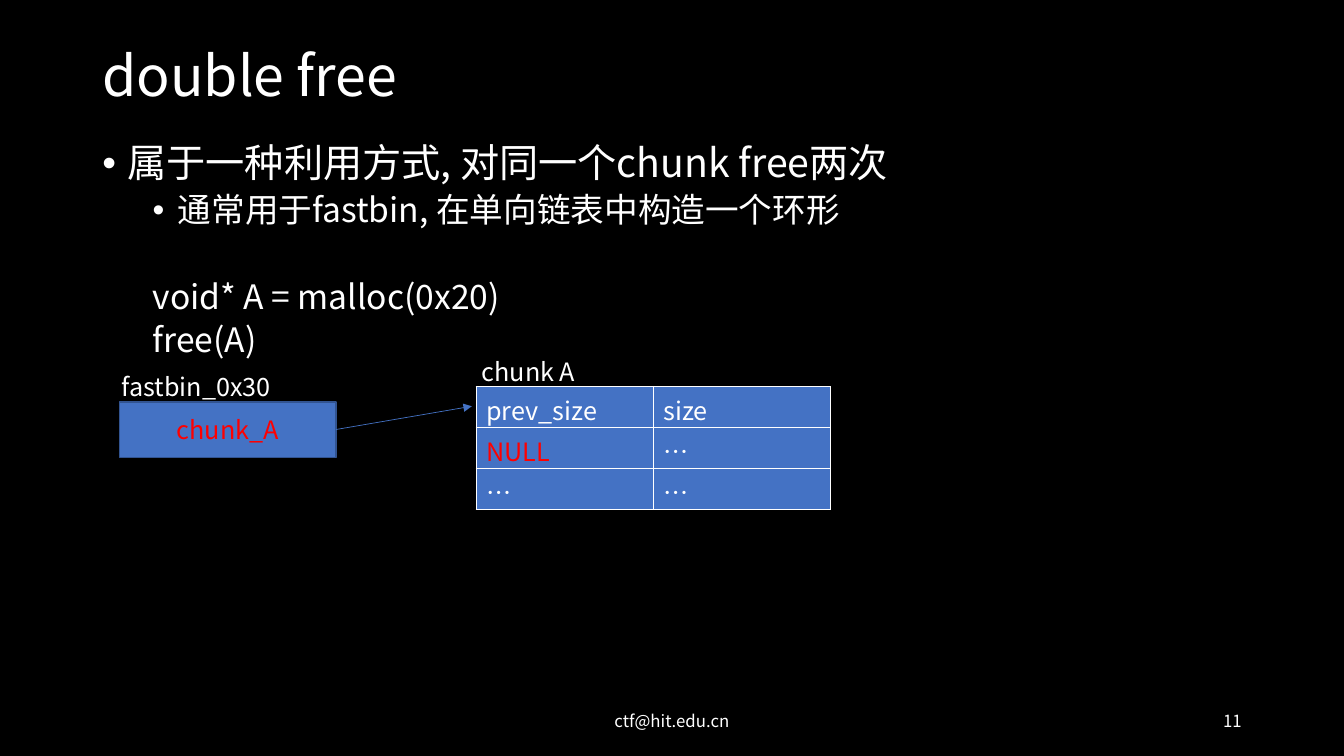
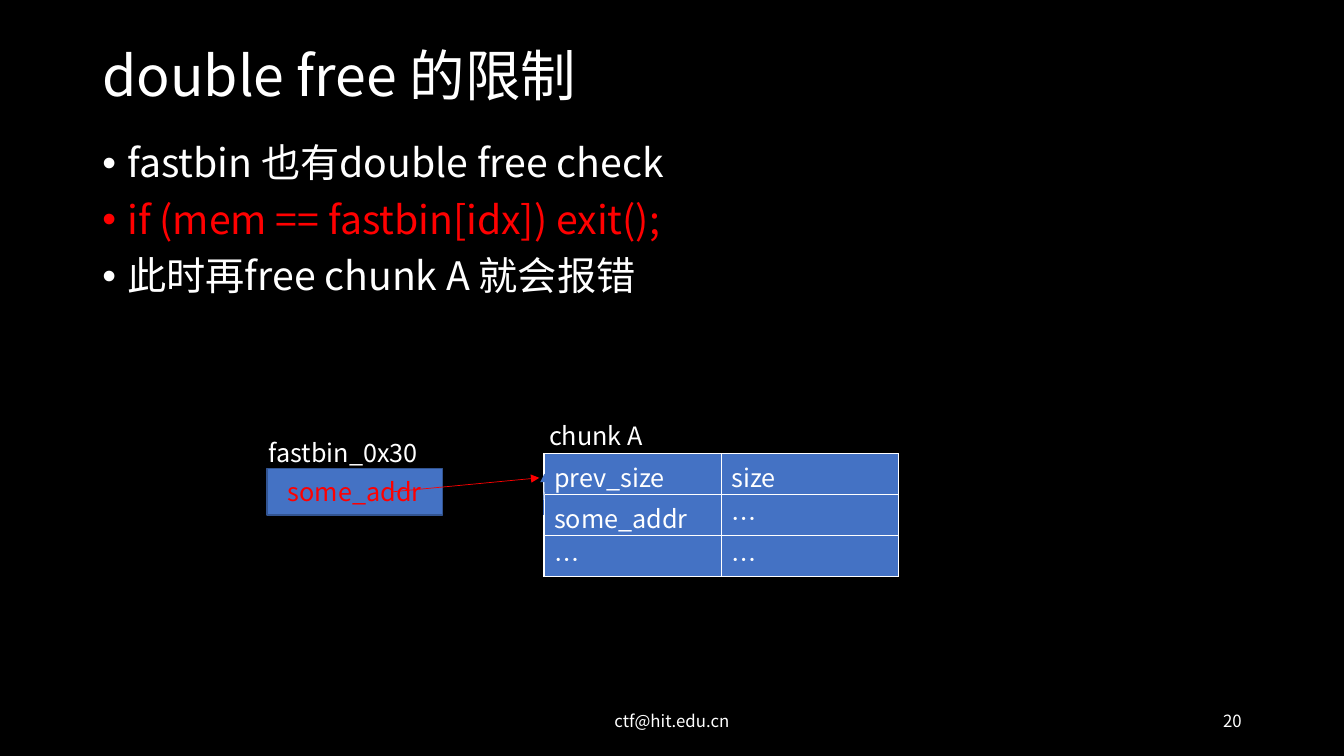
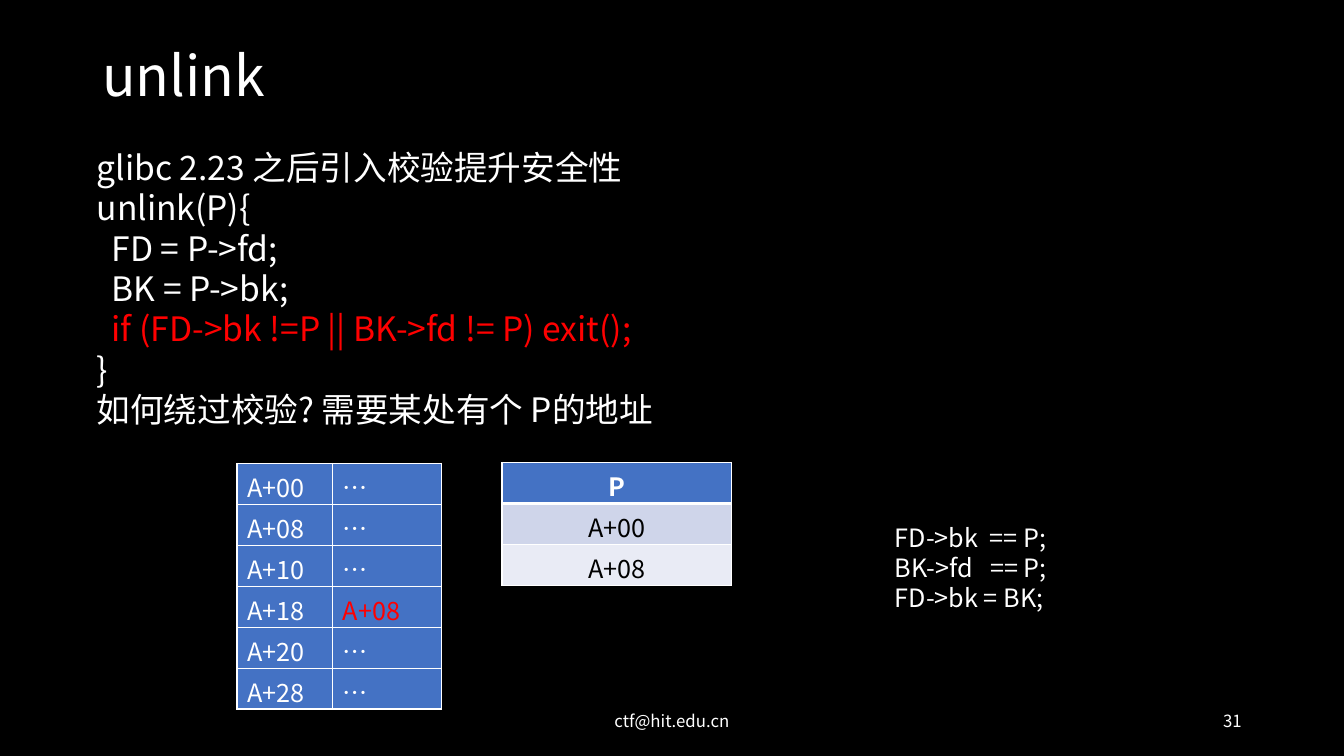
"""Build three slides on double free and unlink checks."""
from dataclasses import dataclass

from lxml.etree import SubElement
from pptx import Presentation
from pptx.dml.color import RGBColor
from pptx.enum.shapes import MSO_CONNECTOR, MSO_SHAPE
from pptx.enum.text import MSO_ANCHOR, PP_ALIGN
from pptx.oxml.ns import qn
from pptx.util import Pt

LEFT, CENTER, RIGHT = PP_ALIGN.LEFT, PP_ALIGN.CENTER, PP_ALIGN.RIGHT
TOP, MIDDLE = MSO_ANCHOR.TOP, MSO_ANCHOR.MIDDLE
STRAIGHT, CURVE = MSO_CONNECTOR.STRAIGHT, MSO_CONNECTOR.CURVE
RECTANGLE = MSO_SHAPE.RECTANGLE


@dataclass(frozen=True)
class Theme:
    font: str = "Noto Sans CJK SC"
    background: str = "000000"
    text: str = "FFFFFF"
    dark_text: str = "000000"
    accent: str = "4472C4"
    accent_edge: str = "325491"
    alert: str = "FF0000"
    band_dark: str = "CFD5EA"
    band_light: str = "E9EBF5"
    title_size: float = 39.6
    bullet_size: float = 28
    code_size: float = 24
    label_size: float = 18
    footer_size: float = 12


@dataclass(frozen=True)
class Line:
    text: str
    color: str = Theme.text
    size: float = Theme.label_size
    bold: bool = False
    margin: float = 0
    bullet: bool = False
    before: float = 0
    spacing: float = 1.0


theme = Theme()


def write_lines(frame, lines, alignment=LEFT, anchor=TOP):
    frame.word_wrap = True
    frame.vertical_anchor = anchor
    for index, line in enumerate(lines):
        paragraph = frame.paragraphs[0] if index == 0 else frame.add_paragraph()
        paragraph.text = line.text
        paragraph.alignment = alignment
        paragraph.line_spacing = line.spacing
        paragraph.space_before = Pt(line.before)
        properties = paragraph._p.get_or_add_pPr()
        properties.set("marL", str(Pt(line.margin)))
        properties.set("indent", str(Pt(-18 if line.bullet else 0)))
        if line.bullet:
            bullet_color = SubElement(properties, qn("a:buClr"))
            SubElement(bullet_color, qn("a:srgbClr"), val=line.color)
            SubElement(properties, qn("a:buFont"), typeface="Arial")
            SubElement(properties, qn("a:buChar"), char="•")
        font = paragraph.font
        font.name = theme.font
        font.size = Pt(line.size)
        font.bold = line.bold
        font.color.rgb = RGBColor.from_string(line.color)
        SubElement(properties.find(qn("a:defRPr")), qn("a:ea"), typeface=theme.font)


def add_arrow(slide, kind, start, end, color):
    arrow = slide.shapes.add_connector(kind, *map(Pt, start + end))
    arrow.line.color.rgb = RGBColor.from_string(color)
    arrow.line.width = Pt(0.5)
    SubElement(arrow.line._get_or_add_ln(), qn("a:tailEnd"), type="triangle")
    SubElement(arrow._element.spPr, qn("a:effectLst"))
    return arrow


presentation = Presentation()
presentation.slide_width = Pt(960)
presentation.slide_height = Pt(540)

slides = []
for title, number in (("double free", "11"), ("double free 的限制", "20"), ("unlink", "31")):
    slide = presentation.slides.add_slide(presentation.slide_layouts[6])
    slide.background.fill.solid()
    slide.background.fill.fore_color.rgb = RGBColor.from_string(theme.background)
    slides.append(slide)
    for left, top, width, height, text, size, alignment, spacing in (
        (66, 28.8, 828, 54, title, theme.title_size, LEFT, 0.9),
        (318, 500.5, 324, 28.75, "ctf@hit.edu.cn", theme.footer_size, CENTER, 1.0),
        (678, 500.5, 216, 28.75, number, theme.footer_size, RIGHT, 1.0),
    ):
        box = slide.shapes.add_textbox(Pt(left), Pt(top), Pt(width), Pt(height))
        write_lines(box.text_frame, [Line(text, size=size, spacing=spacing)], alignment, MIDDLE)
double_free, limits, unlink = slides

bullet = {"size": theme.bullet_size, "margin": 18, "bullet": True, "spacing": 0.9}
code = {"size": theme.code_size, "margin": 36, "spacing": 0.9}
plain = {"size": theme.code_size}
text_boxes = (
    (double_free, 66, 99.4, 828, 386.6, [
        Line("属于一种利用方式, 对同一个chunk free两次", **bullet),
        Line("通常用于fastbin, 在单向链表中构造一个环形",
             size=theme.code_size, margin=54, bullet=True, before=5, spacing=0.9),
        Line("void* A = malloc(0x20)", before=36, **code),
        Line("free(A)", before=5, **code),
    ]),
    (double_free, 337, 251.3, 130, 29, [Line("chunk A")]),
    (double_free, 79.9, 261.4, 130, 29, [Line("fastbin_0x30")]),
    (limits, 66, 99.4, 828, 180, [
        Line("fastbin 也有double free check", **bullet),
        Line("if (mem == fastbin[idx]) exit();", theme.alert, before=10, **bullet),
        Line("此时再free chunk A 就会报错", before=10, **bullet),
    ]),
    (limits, 385.2, 296.9, 130, 29, [Line("chunk A")]),
    (limits, 185, 309, 130, 29, [Line("fastbin_0x30")]),
    (unlink, 62, 101.5, 837, 211, [
        Line("glibc 2.23 之后引入校验提升安全性", **plain),
        Line("unlink(P){", **plain),
        Line("  FD = P->fd;", **plain),
        Line("  BK = P->bk;", **plain),
        Line("  if (FD->bk !=P || BK->fd != P) exit();", theme.alert, **plain),
        Line("}", **plain),
        Line("如何绕过校验? 需要某处有个 P的地址", **plain),
    ]),
    (unlink, 632.2, 369.4, 247, 72.7, [
        Line("FD->bk  == P;"), Line("BK->fd   == P;"), Line("FD->bk = BK;"),
    ]),
)
for slide, left, top, width, height, lines in text_boxes:
    box = slide.shapes.add_textbox(Pt(left), Pt(top), Pt(width), Pt(height))
    write_lines(box.text_frame, lines)

fastbins = []
for slide, left, top, width, height, text in (
    (double_free, 85.5, 287, 154.5, 39.6, "chunk_A"),
    (limits, 190.8, 334.8, 125.3, 33.1, "some_addr"),
):
    fastbin = slide.shapes.add_shape(RECTANGLE, Pt(left), Pt(top), Pt(width), Pt(height))
    fastbin.shadow.inherit = False
    fastbin.fill.solid()
    fastbin.fill.fore_color.rgb = RGBColor.from_string(theme.accent)
    fastbin.line.color.rgb = RGBColor.from_string(theme.accent_edge)
    fastbin.line.width = Pt(1)
    write_lines(fastbin.text_frame, [Line(text, theme.alert)], CENTER, MIDDLE)
    fastbins.append(fastbin)

chunk_arrow = add_arrow(double_free, STRAIGHT, (240, 306.8), (337, 290.2), theme.accent)
chunk_arrow.begin_connect(fastbins[0], 3)
add_arrow(limits, STRAIGHT, (279.4, 351.4), (385.2, 341.3), theme.alert)

row_height = 29.25
chunk_columns = (126.7, 126.7)
heap_rows = [(f"A+{offset:02X}", "…") for offset in range(0, 0x30, 8)]
heap_rows[3] = ("A+18", "A+08")
tables = (
    (double_free, 340.1, 276.1, chunk_columns,
     [("prev_size", "size"), ("NULL", "…"), ("…", "…")], (1, 0), False),
    (limits, 388.6, 324, chunk_columns,
     [("prev_size", "size"), ("some_addr", "…"), ("…", "…")], None, False),
    (unlink, 358.6, 330.4, (163.7,), [("P",), ("A+00",), ("A+08",)], None, True),
    (unlink, 169.3, 331.1, (68.4, 77.8), heap_rows, (3, 1), False),
)
for slide, left, top, widths, rows, alert_cell, banded in tables:
    table = slide.shapes.add_table(
        len(rows), len(widths), Pt(left), Pt(top), Pt(sum(widths)), Pt(row_height * len(rows))
    ).table
    table.first_row = table.horz_banding = False
    for column, width in zip(table.columns, widths):
        column.width = Pt(width)
    for row_index, row in enumerate(rows):
        table.rows[row_index].height = Pt(row_height)
        header = banded and row_index == 0
        fill = (theme.accent, theme.band_dark, theme.band_light)[row_index] if banded else theme.accent
        for column_index, text in enumerate(row):
            cell = table.cell(row_index, column_index)
            color = theme.dark_text if banded and not header else theme.text
            if (row_index, column_index) == alert_cell:
                color = theme.alert
            write_lines(cell.text_frame, [Line(text, color, bold=header)], CENTER if banded else LEFT)
            cell_properties = cell._tc.get_or_add_tcPr()
            for side in ("lnL", "lnR", "lnT", "lnB"):
                thick = header and side == "lnB" or banded and row_index == 1 and side == "lnT"
                border = SubElement(cell_properties, qn(f"a:{side}"), w=str(Pt(3 if thick else 1)))
                border_fill = SubElement(border, qn("a:solidFill"))
                SubElement(border_fill, qn("a:srgbClr"), val=theme.text)
            cell.fill.solid()
            cell.fill.fore_color.rgb = RGBColor.from_string(fill)

loop_arrow = add_arrow(limits, CURVE, (403.2, 353.5), (373.8, 352.8), theme.accent)
loop_arrow._element.spPr.find(qn("a:xfrm")).set("rot", "5400000")

presentation.save("out.pptx")
